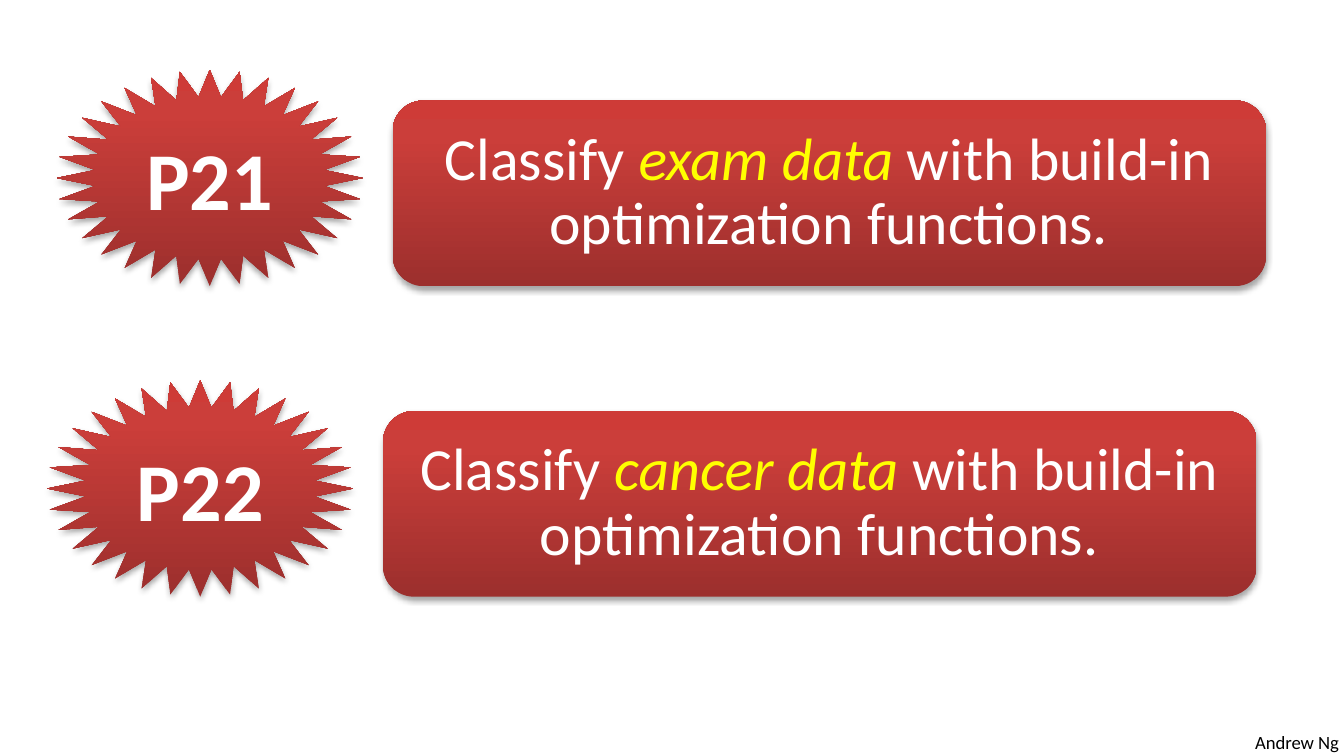
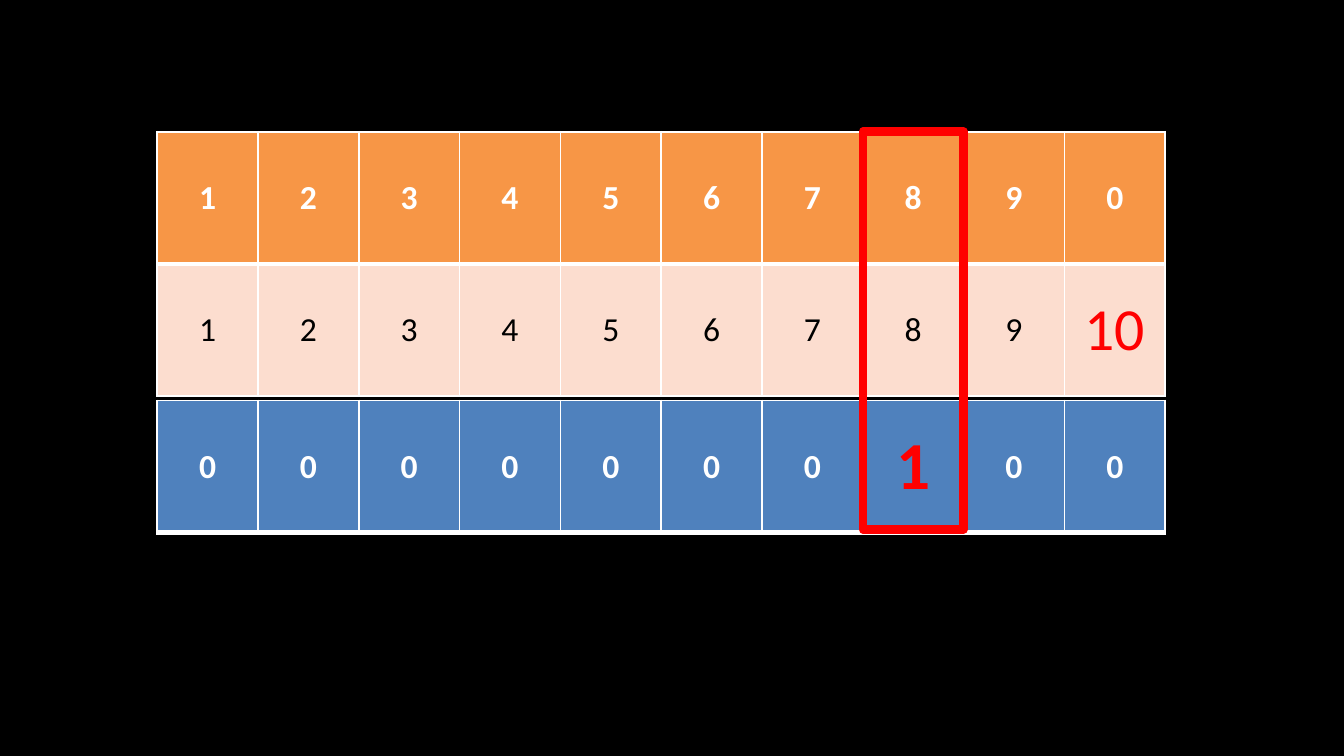
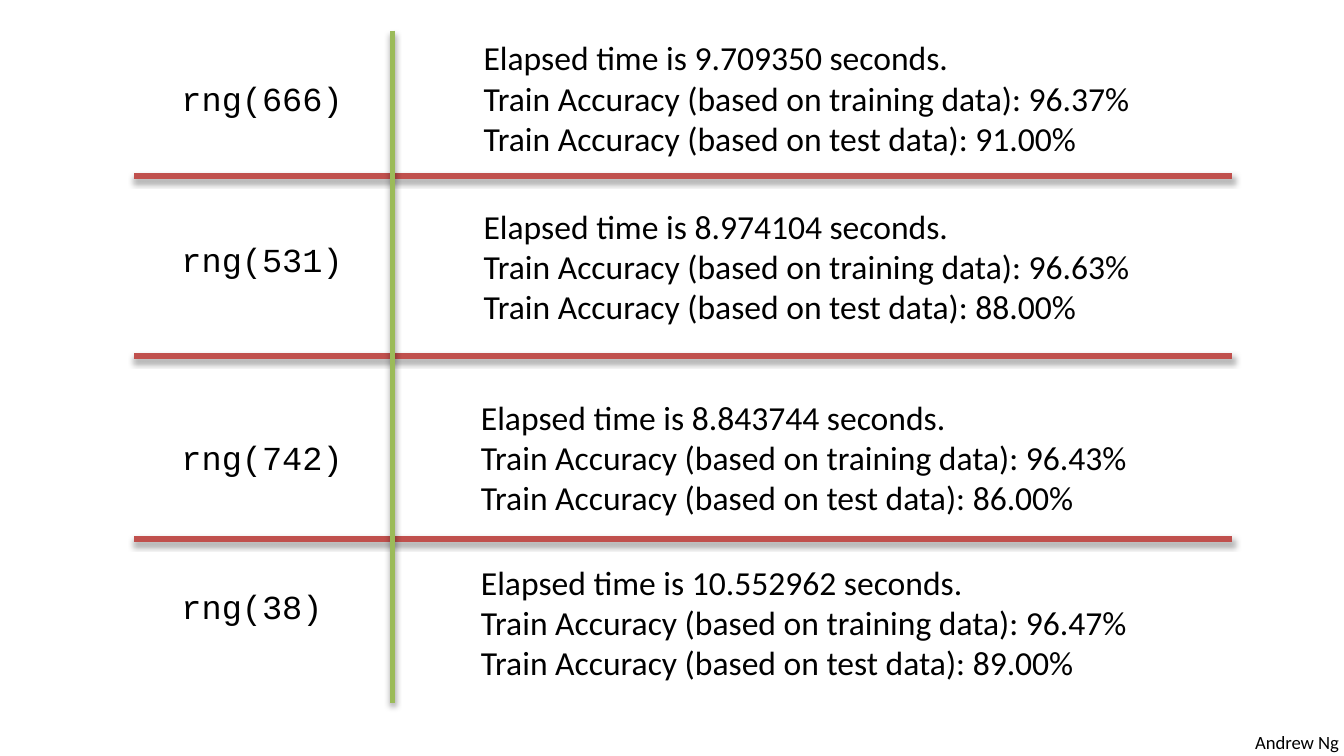
import copy

import lxml.etree
import pptx
import pptx.dml.color
import pptx.enum.shapes
import pptx.enum.text
import pptx.oxml.ns
import pptx.util

Cm = pptx.util.Cm
Pt = pptx.util.Pt
RGBColor = pptx.dml.color.RGBColor
SHAPE = pptx.enum.shapes.MSO_SHAPE
STRAIGHT = pptx.enum.shapes.MSO_CONNECTOR.STRAIGHT
CENTER = pptx.enum.text.PP_ALIGN.CENTER
MIDDLE = pptx.enum.text.MSO_ANCHOR.MIDDLE
FIT_SHAPE = pptx.enum.text.MSO_AUTO_SIZE.SHAPE_TO_FIT_TEXT
qn = pptx.oxml.ns.qn

BODY_FONT = "Calibri"
CODE_FONT = "Courier New"
BLACK = RGBColor(0x00, 0x00, 0x00)
WHITE = RGBColor(0xFF, 0xFF, 0xFF)
YELLOW = RGBColor(0xFF, 0xFF, 0x00)
RED = RGBColor(0xFF, 0x00, 0x00)
ORANGE = RGBColor(0xF7, 0x96, 0x46)
PEACH = RGBColor(0xFC, 0xDD, 0xCF)
BLUE = RGBColor(0x4F, 0x81, 0xBD)
BRICK = RGBColor(0xC0, 0x50, 0x4D)
GREEN = RGBColor(0x9B, 0xBB, 0x59)
BADGE_GRADIENT = [
    (0, RGBColor(0x9C, 0x2F, 0x2D)),
    (0.8, RGBColor(0xCB, 0x3E, 0x3A)),
    (1, RGBColor(0xCE, 0x3B, 0x37)),
]

FOOTER = "Andrew Ng"

# label, highlighted words, left and top of the star
EXERCISES = [
    ("P21", "exam data ", 1.07, 1.32),
    ("P22", "cancer data ", 0.89, 7.19),
]

DIGITS = ["1", "2", "3", "4", "5", "6", "7", "8", "9", "0"]
INDEXES = ["1", "2", "3", "4", "5", "6", "7", "8", "9", "10"]
ONE_HOT = ["0", "0", "0", "0", "0", "0", "0", "1", "0", "0"]
# row style: fill, text colour, bold, border under the row, emphasised column, its size
DIGIT_STYLE = (ORANGE, WHITE, True, 3, None, None)
INDEX_STYLE = (PEACH, BLACK, False, 1, 9, 32)
ONE_HOT_STYLE = (BLUE, WHITE, True, 3, 7, 36)
# top of the table, rows with their styles
TABLES = [
    (2.49, [(DIGITS, DIGIT_STYLE), (INDEXES, INDEX_STYLE)]),
    (7.57, [(ONE_HOT, ONE_HOT_STYLE)]),
]
TABLE_LEFT, TABLE_WIDTH, ROW_HEIGHT = Cm(2.97), Cm(19.05), Cm(2.5)
MARKED_COLUMN = 7

# seed, its top and width, seconds, training and test accuracy, result left, top and width
RUNS = [
    ("rng(666)", 1.35, 3.58, "9.709350", "96.37", "91.00", 8.89, 0.58, 13.54),
    ("rng(531)", 4.39, 3.58, "8.974104", "96.63", "88.00", 8.89, 3.76, 14.4),
    ("rng(742)", 8.13, 3.58, "8.843744", "96.43", "86.00", 8.84, 7.37, 13.39),
    ("rng(38)", 10.95, 3.2, "10.552962", "96.47", "89.00", 8.84, 10.49, 14.17),
]
RULE_TOPS = [3.33, 6.73, 10.19]


def style(font, size, color, name=BODY_FONT, bold=False, italic=False):
    font.name = name
    font.size = Pt(size)
    font.color.rgb = color
    font.bold = bold
    font.italic = italic


def add_page(deck, background):
    page = deck.slides.add_slide(deck.slide_layouts[6])
    page.background.fill.solid()
    page.background.fill.fore_color.rgb = background
    return page


def add_text(page, left, top, width, height, lines, size, name=BODY_FONT, wrap=False):
    box = page.shapes.add_textbox(Cm(left), Cm(top), Cm(width), Cm(height))
    frame = box.text_frame
    frame.text = "\n".join(lines)
    frame.word_wrap = wrap
    frame.auto_size = FIT_SHAPE
    for para in frame.paragraphs:
        for span in para.runs:
            style(span.font, size, BLACK, name)


def add_footer(page):
    add_text(page, 23.47, 13.69, 2.13, 0.69, [FOOTER], 10)


def add_shadow(effects):
    shadow = lxml.etree.SubElement(
        effects, qn("a:outerShdw"), blurRad="40000", dist="23000", dir="5400000", rotWithShape="0"
    )
    color = lxml.etree.SubElement(shadow, qn("a:srgbClr"), val=str(BLACK))
    lxml.etree.SubElement(color, qn("a:alpha"), val="35000")


def add_badge(shapes, kind, left, top, width, height):
    """Add a shape with the red gradient and the soft shadow."""
    badge = shapes.add_shape(kind, Cm(left), Cm(top), Cm(width), Cm(height))
    badge.line.fill.background()
    badge.fill.gradient()
    stops = badge._element.spPr.find(".//" + qn("a:gsLst"))
    stops.append(copy.deepcopy(stops[-1]))
    for stop, (position, color) in zip(badge.fill.gradient_stops, BADGE_GRADIENT):
        stop.position = position
        stop.color.rgb = color
    badge.fill.gradient_angle = 90
    badge.shadow.inherit = False
    add_shadow(badge._element.spPr.find(qn("a:effectLst")))
    return badge


def add_exercise(page, label, topic, left, top):
    star = add_badge(page.shapes, SHAPE.STAR_32_POINT, left, top, 5.79, 4.09)
    star.text_frame.text = label
    star.text_frame.vertical_anchor = MIDDLE
    para = star.text_frame.paragraphs[0]
    para.alignment = CENTER
    style(para.runs[0].font, 44, WHITE, bold=True)

    card = page.shapes.add_group_shape()
    left, top = left + 6.35, top + 0.58
    add_badge(card.shapes, SHAPE.ROUNDED_RECTANGLE, left, top, 16.51, 3.51)
    box = card.shapes.add_textbox(Cm(left + 0.11), Cm(top + 0.18), Cm(16.28), Cm(3.15))
    frame = box.text_frame
    frame.word_wrap = True
    frame.vertical_anchor = MIDDLE
    frame.margin_left = frame.margin_right = Cm(0.53)
    frame.margin_top = frame.margin_bottom = Cm(0.28)
    para = frame.paragraphs[0]
    para.alignment = CENTER
    para.line_spacing = 0.9
    for text in ("Classify ", topic, "with build-in optimization functions."):
        span = para.add_run()
        span.text = text
        marked = text == topic
        style(span.font, 32, YELLOW if marked else WHITE, italic=marked)


def set_borders(cell, top, bottom):
    properties = cell._tc.get_or_add_tcPr()
    sides = [("a:lnL", 1), ("a:lnR", 1), ("a:lnT", top), ("a:lnB", bottom)]
    for index, (tag, width) in enumerate(sides):
        line = properties.makeelement(qn(tag), {"w": str(Pt(width))})
        fill = lxml.etree.SubElement(line, qn("a:solidFill"))
        lxml.etree.SubElement(fill, qn("a:srgbClr"), val=str(WHITE))
        properties.insert(index, line)


def add_digit_table(page, top, rows):
    columns = len(DIGITS)
    table = page.shapes.add_table(
        len(rows), columns, TABLE_LEFT, Cm(top), TABLE_WIDTH, ROW_HEIGHT * len(rows)
    ).table
    table.first_row = table.horz_banding = False
    border_above = 1
    for row, (values, row_style) in enumerate(rows):
        fill, color, bold, border_below, marked, marked_size = row_style
        for column, value in enumerate(values):
            cell = table.cell(row, column)
            cell.text = value
            cell.vertical_anchor = MIDDLE
            cell.fill.solid()
            cell.fill.fore_color.rgb = fill
            set_borders(cell, border_above, border_below)
            para = cell.text_frame.paragraphs[0]
            para.alignment = CENTER
            if column == marked:
                style(para.runs[0].font, marked_size, RED, bold=bold)
            else:
                style(para.runs[0].font, 18, color, bold=bold)
        border_above = border_below


def add_rule(page, left, top, right, bottom, color):
    rule = page.shapes.add_connector(STRAIGHT, Cm(left), Cm(top), Cm(right), Cm(bottom))
    rule.line.color.rgb = color
    rule.line.width = Pt(3)
    add_shadow(lxml.etree.SubElement(rule._element.spPr, qn("a:effectLst")))


def build_exercises(deck):
    page = add_page(deck, WHITE)
    add_footer(page)
    for exercise in EXERCISES:
        add_exercise(page, *exercise)


def build_one_hot(deck):
    page = add_page(deck, BLACK)
    for top, rows in TABLES:
        add_digit_table(page, top, rows)
    column_width = TABLE_WIDTH // len(DIGITS)
    marker = page.shapes.add_shape(
        SHAPE.RECTANGLE, TABLE_LEFT + MARKED_COLUMN * column_width, Cm(2.49), column_width, Cm(7.52)
    )
    marker.shadow.inherit = False
    marker.fill.background()
    marker.line.color.rgb = RED
    marker.line.width = Pt(4.5)


def build_runs(deck):
    page = add_page(deck, WHITE)
    add_footer(page)
    for seed, seed_top, seed_width, seconds, training, test, left, top, width in RUNS:
        result = [
            f"Elapsed time is {seconds} seconds.",
            f"Train Accuracy (based on training data): {training}%",
            f"Train Accuracy (based on test data): {test}%",
        ]
        add_text(page, left, top, width, 2.57, result, 18, wrap=True)
        add_text(page, 3.18, seed_top, seed_width, 1.02, [seed], 18, CODE_FONT)
    for top in RULE_TOPS:
        add_rule(page, 2.54, top, 23.29, top, BRICK)
    add_rule(page, 7.42, 0.58, 7.42, 13.28, GREEN)


def main():
    deck = pptx.Presentation()
    deck.slide_width = Cm(25.4)
    deck.slide_height = Cm(14.29)
    build_exercises(deck)
    build_one_hot(deck)
    build_runs(deck)
    deck.save("out.pptx")


if __name__ == "__main__":
    main()
